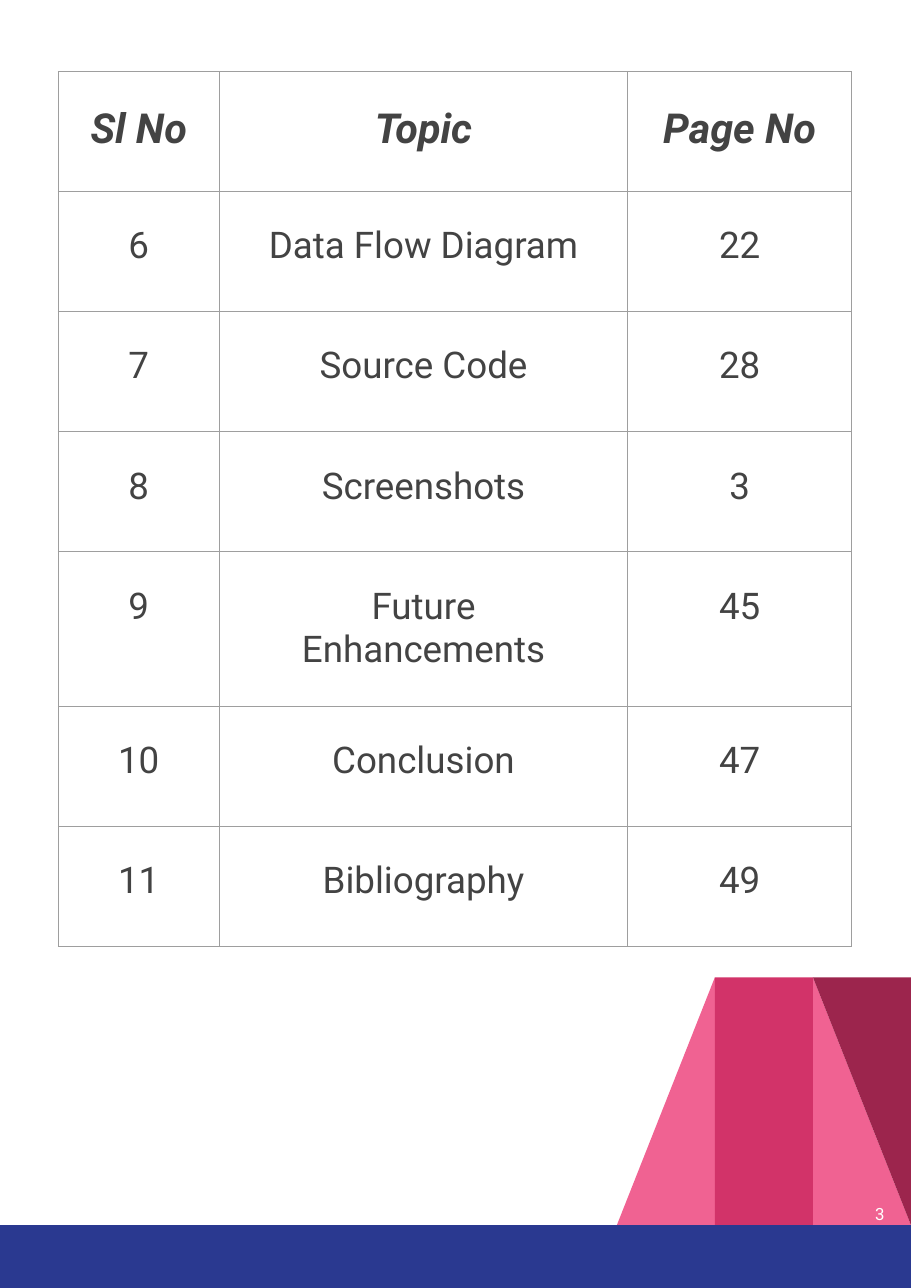
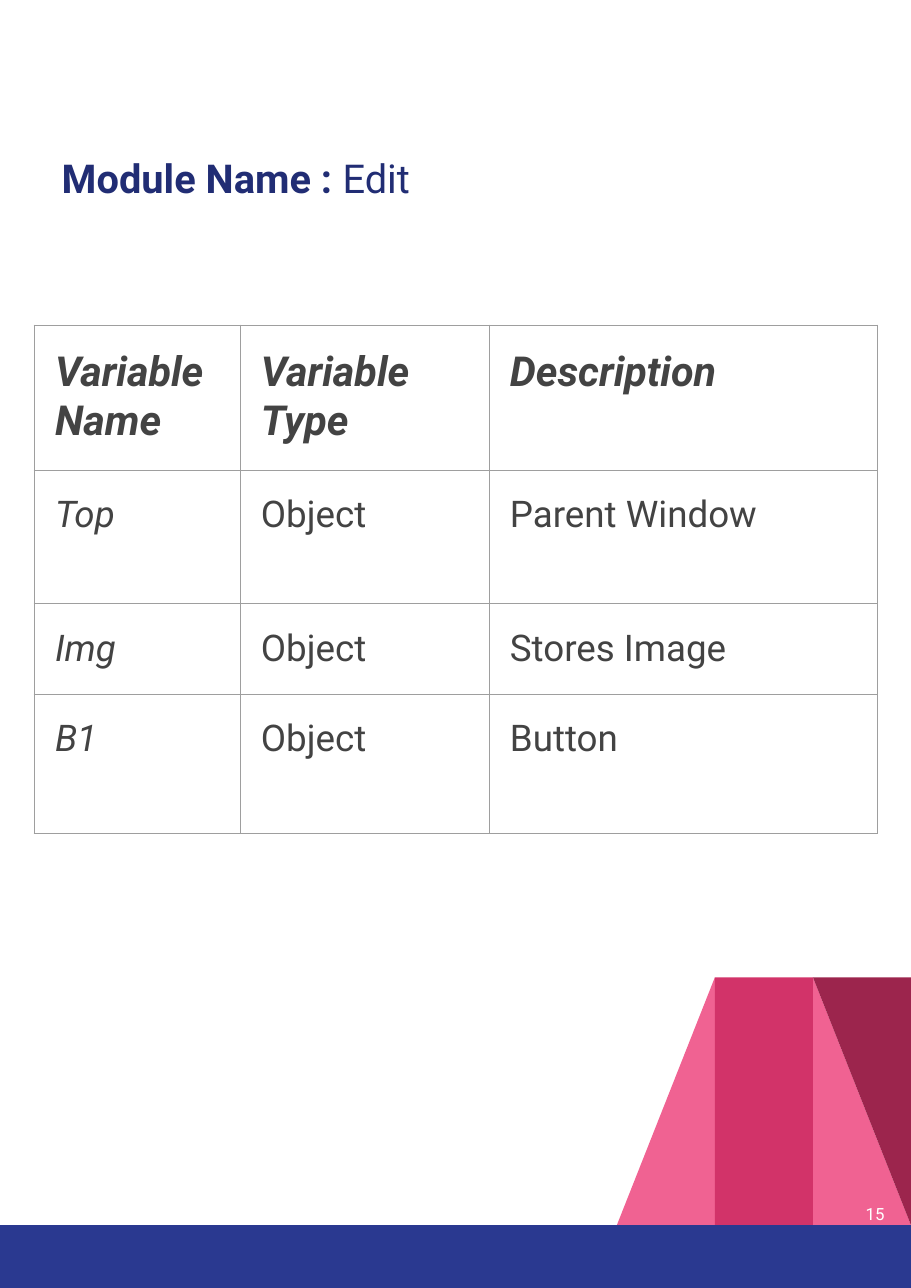
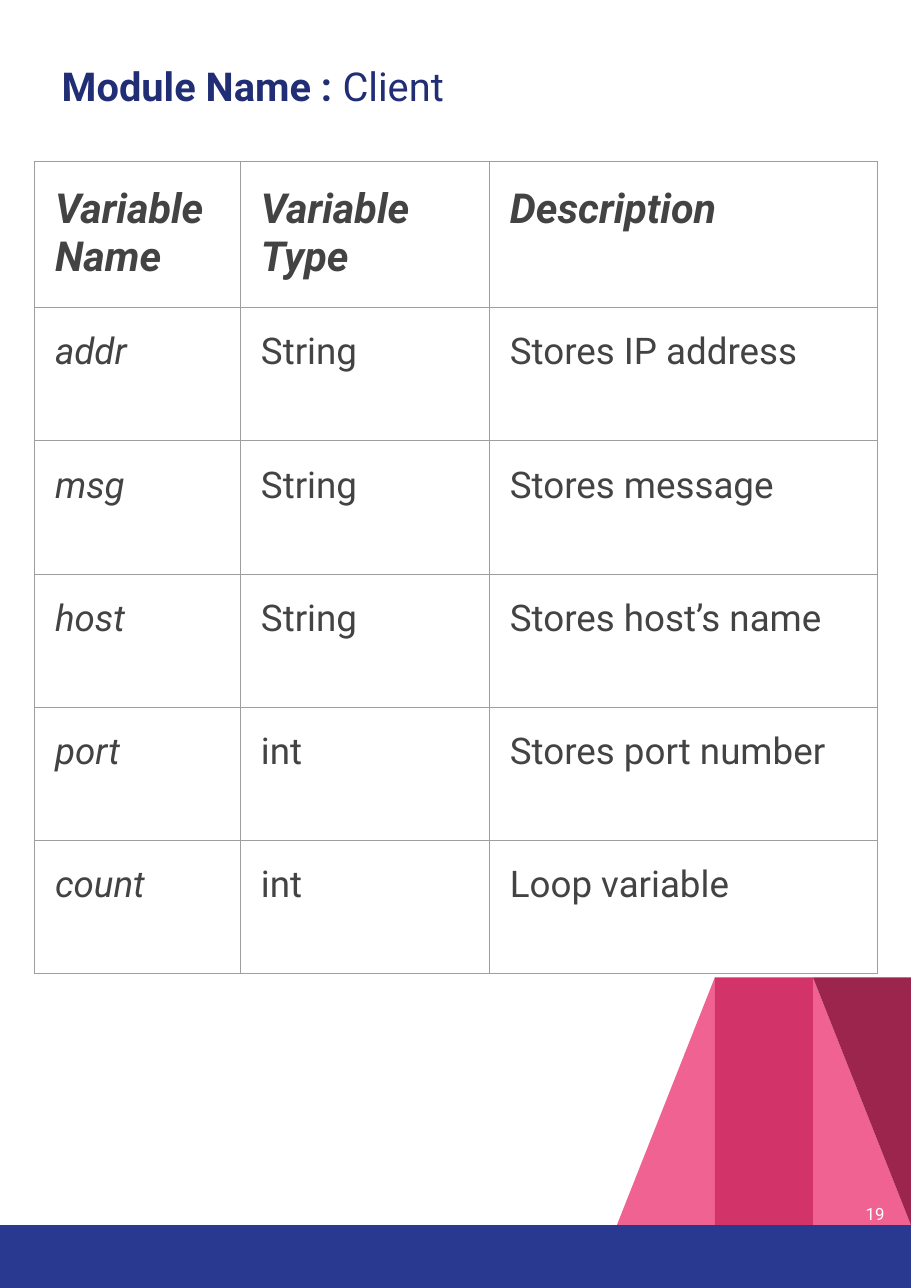
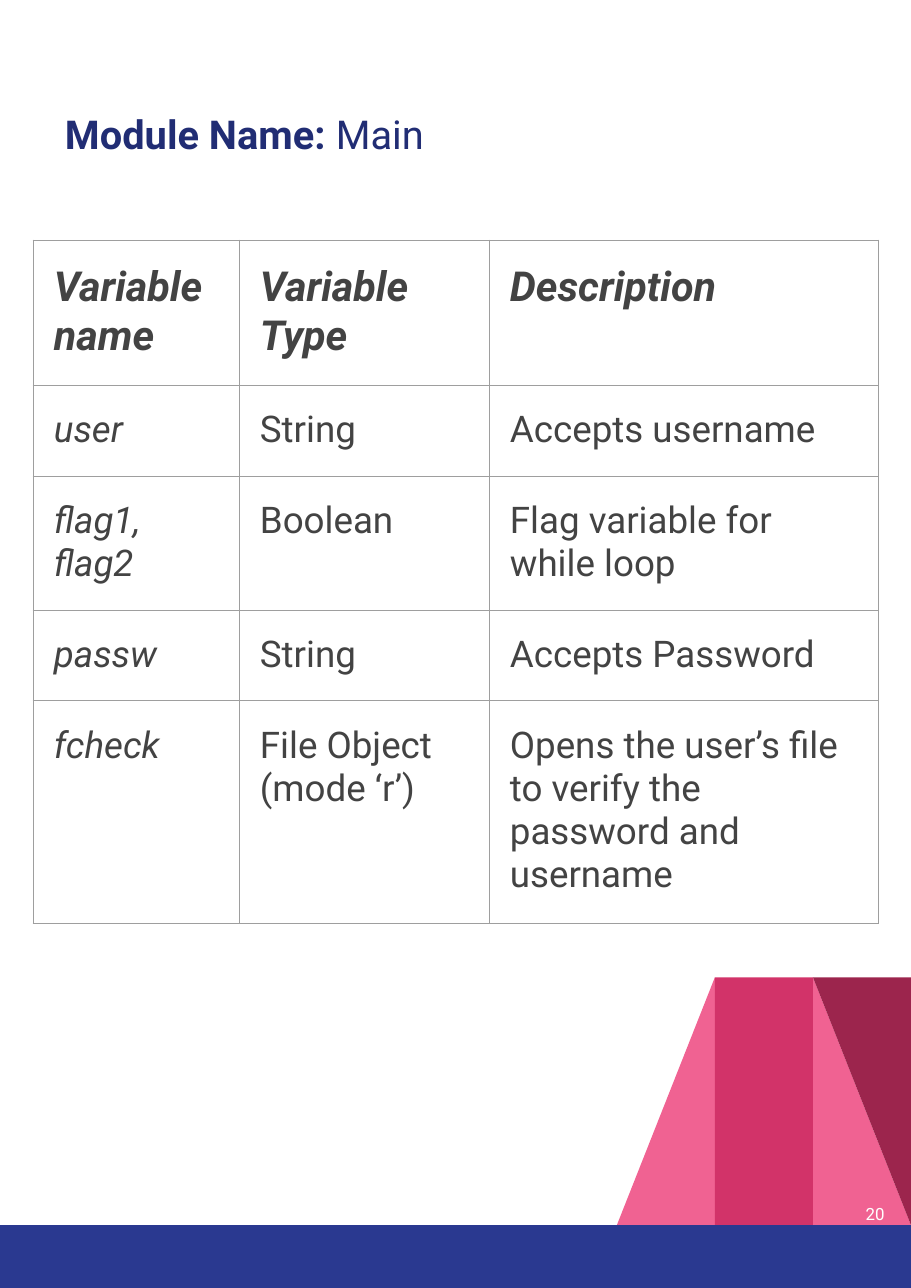
from dataclasses import dataclass

from lxml import etree
from pptx import Presentation
from pptx import util as u
from pptx.dml.color import RGBColor
from pptx.enum import shapes, text
from pptx.oxml.ns import qn

MIDDLE = text.MSO_ANCHOR.MIDDLE
LEFT, CENTER, RIGHT = text.PP_ALIGN.LEFT, text.PP_ALIGN.CENTER, text.PP_ALIGN.RIGHT


@dataclass(frozen=True)
class Theme:
    width: float = 8.27
    height: float = 11.69
    font: str = "Roboto"
    navy: str = "2A3990"
    title: str = "212D74"
    ink: str = "434343"
    border: str = "9E9E9E"
    pink: str = "F06292"
    magenta: str = "D23369"
    maroon: str = "9C254D"
    white: str = "FFFFFF"
    title_size: float = 26
    header_size: float = 27
    body_size: float = 24
    number_size: float = 11
    border_width: float = 0.75
    band_height: float = 0.57
    panel_width: float = 0.89
    panel_height: float = 2.25


class Report:
    def __init__(self, theme):
        self.theme = theme
        self.deck = Presentation()
        self.deck.slide_width = u.Inches(theme.width)
        self.deck.slide_height = u.Inches(theme.height)
        self.slide = None

    def add_page(self, number):
        self.slide = self.deck.slides.add_slide(self.deck.slide_layouts[6])
        self.add_footer()
        self.add_text(7.65, 10.57, 0.5, 0.89, 0.12, [(str(number), False)],
                      self.theme.number_size, self.theme.white, align=RIGHT)

    def add_footer(self):
        """Draw the folded panels and the band below them."""
        theme = self.theme
        rectangle = shapes.MSO_SHAPE.RECTANGLE
        triangle = shapes.MSO_SHAPE.RIGHT_TRIANGLE
        band_top = theme.height - theme.band_height
        first, second, third = (theme.width - count * theme.panel_width
                                for count in (3, 2, 1))
        panel = (band_top - theme.panel_height, theme.panel_width, theme.panel_height)
        self.add_shape(triangle, third, *panel, theme.pink)
        left_fold = self.add_shape(triangle, first, *panel, theme.pink)
        left_fold._element.spPr.xfrm.set("flipH", "1")
        self.add_shape(rectangle, second, *panel, theme.magenta)
        self.add_shape(triangle, third, *panel, theme.maroon).rotation = 180
        self.add_shape(rectangle, 0, band_top, theme.width, theme.band_height, theme.navy)

    def add_shape(self, kind, left, top, width, height, color):
        shape = self.slide.shapes.add_shape(
            kind, u.Inches(left), u.Inches(top), u.Inches(width), u.Inches(height))
        shape.shadow.inherit = False
        shape.fill.solid()
        shape.fill.fore_color.rgb = RGBColor.from_string(color)
        shape.line.fill.background()
        return shape

    def add_run(self, para, words, size, color, bold=False, italic=False):
        span = para.add_run()
        span.text = words
        font = span.font
        font.name, font.size = self.theme.font, u.Pt(size)
        font.bold, font.italic = bold, italic
        font.color.rgb = RGBColor.from_string(color)

    def add_text(self, left, top, width, height, inset, spans, size, color,
                 align=LEFT, spacing=1.0):
        """Add a one-paragraph box; spans are (words, bold) pairs."""
        box = self.slide.shapes.add_textbox(
            u.Inches(left), u.Inches(top), u.Inches(width), u.Inches(height))
        frame = box.text_frame
        frame.word_wrap = True
        frame.vertical_anchor = MIDDLE
        frame.margin_left = frame.margin_right = u.Inches(inset)
        frame.margin_top = frame.margin_bottom = u.Inches(inset)
        para = frame.paragraphs[0]
        para.alignment, para.line_spacing = align, spacing
        for words, bold in spans:
            self.add_run(para, words, size, color, bold)

    def add_title(self, label, name, left, top, width, height):
        self.add_text(left, top, width, height, 0.29, [(label, True), (name, False)],
                      self.theme.title_size, self.theme.title, spacing=1.15)

    def add_table(self, left, top, widths, heights, rows, insets,
                  align=LEFT, italic_names=True):
        """Add a table whose first row is the header; insets are (side, top)."""
        table = self.slide.shapes.add_table(
            len(rows), len(widths), u.Inches(left), u.Inches(top),
            u.Inches(sum(widths)), u.Inches(sum(heights))).table
        table.first_row = table.horz_banding = False
        for column, width in zip(table.columns, widths):
            column.width = u.Inches(width)
        for row_index, (row, height) in enumerate(zip(rows, heights)):
            table.rows[row_index].height = u.Inches(height)
            header = row_index == 0
            for column_index, words in enumerate(row):
                italic = header or (italic_names and column_index == 0)
                self.fill_cell(table.cell(row_index, column_index), words,
                               insets, align, header, italic)

    def fill_cell(self, cell, words, insets, align, header, italic):
        theme = self.theme
        cell.margin_left = cell.margin_right = u.Inches(insets[0])
        cell.margin_top = cell.margin_bottom = u.Inches(insets[1])
        self.add_borders(cell)
        cell.fill.background()
        size = theme.header_size if header else theme.body_size
        frame = cell.text_frame
        for index, line in enumerate(words.split("\n")):
            para = frame.add_paragraph() if index else frame.paragraphs[0]
            para.alignment = align
            self.add_run(para, line, size, theme.ink, header, italic)

    def add_borders(self, cell):
        properties = cell._tc.get_or_add_tcPr()
        for side in ("a:lnL", "a:lnR", "a:lnT", "a:lnB"):
            line = etree.SubElement(properties, qn(side),
                                    w=str(u.Pt(self.theme.border_width)))
            fill = etree.SubElement(line, qn("a:solidFill"))
            etree.SubElement(fill, qn("a:srgbClr"), val=self.theme.border)


VARIABLE_HEADER = ("Variable Name", "Variable Type", "Description")
VARIABLE_WIDTHS = (1.87, 2.26, 3.53)
VARIABLE_INSETS = (0.19, 0.21)


def main():
    report = Report(Theme())

    report.add_page(3)
    report.add_table(0.53, 0.65, (1.46, 3.71, 2.03), [1.09] * 4 + [1.38] + [1.09] * 2, [
        ("Sl No", "Topic", "Page No"),
        ("6", "Data Flow Diagram", "22"),
        ("7", "Source Code", "28"),
        ("8", "Screenshots", "3"),
        ("9", "Future Enhancements", "45"),
        ("10", "Conclusion", "47"),
        ("11", "Bibliography", "49"),
    ], (0.28, 0.3), align=CENTER, italic_names=False)

    report.add_page(15)
    report.add_table(0.31, 2.95, VARIABLE_WIDTHS, (1.28, 1.21, 0.81, 1.26), [
        VARIABLE_HEADER,
        ("Top", "Object", "Parent Window"),
        ("Img", "Object", "Stores Image"),
        ("B1", "Object", "Button"),
    ], VARIABLE_INSETS)
    report.add_title("Module Name : ", "Edit", 0.27, 1.13, 7.73, 0.89)

    report.add_page(19)
    report.add_title("Module Name : ", "Client", 0.27, 0.3, 7.73, 0.89)
    report.add_table(0.31, 1.47, VARIABLE_WIDTHS, [1.28] + [1.21] * 5, [
        VARIABLE_HEADER,
        ("addr", "String", "Stores IP address"),
        ("msg", "String", "Stores message"),
        ("host", "String", "Stores host’s name"),
        ("port", "int", "Stores port number"),
        ("count", "int", "Loop variable"),
    ], VARIABLE_INSETS)

    report.add_page(20)
    report.add_table(0.3, 2.18, (1.87, 2.27, 3.54), (1.29, 0.82, 1.22, 0.82, 1.98), [
        ("Variable name", "Variable Type", "Description"),
        ("user", "String", "Accepts username"),
        ("flag1,\nflag2", "Boolean", "Flag variable for while loop"),
        ("passw", "String", "Accepts Password"),
        ("fcheck", "File Object\n(mode ‘r’)",
         "Opens the user’s file to verify the password and username"),
    ], VARIABLE_INSETS)
    report.add_title("Module Name: ", "Main", 0.3, 0.54, 3.94, 1.28)

    report.deck.save("out.pptx")


if __name__ == "__main__":
    main()
